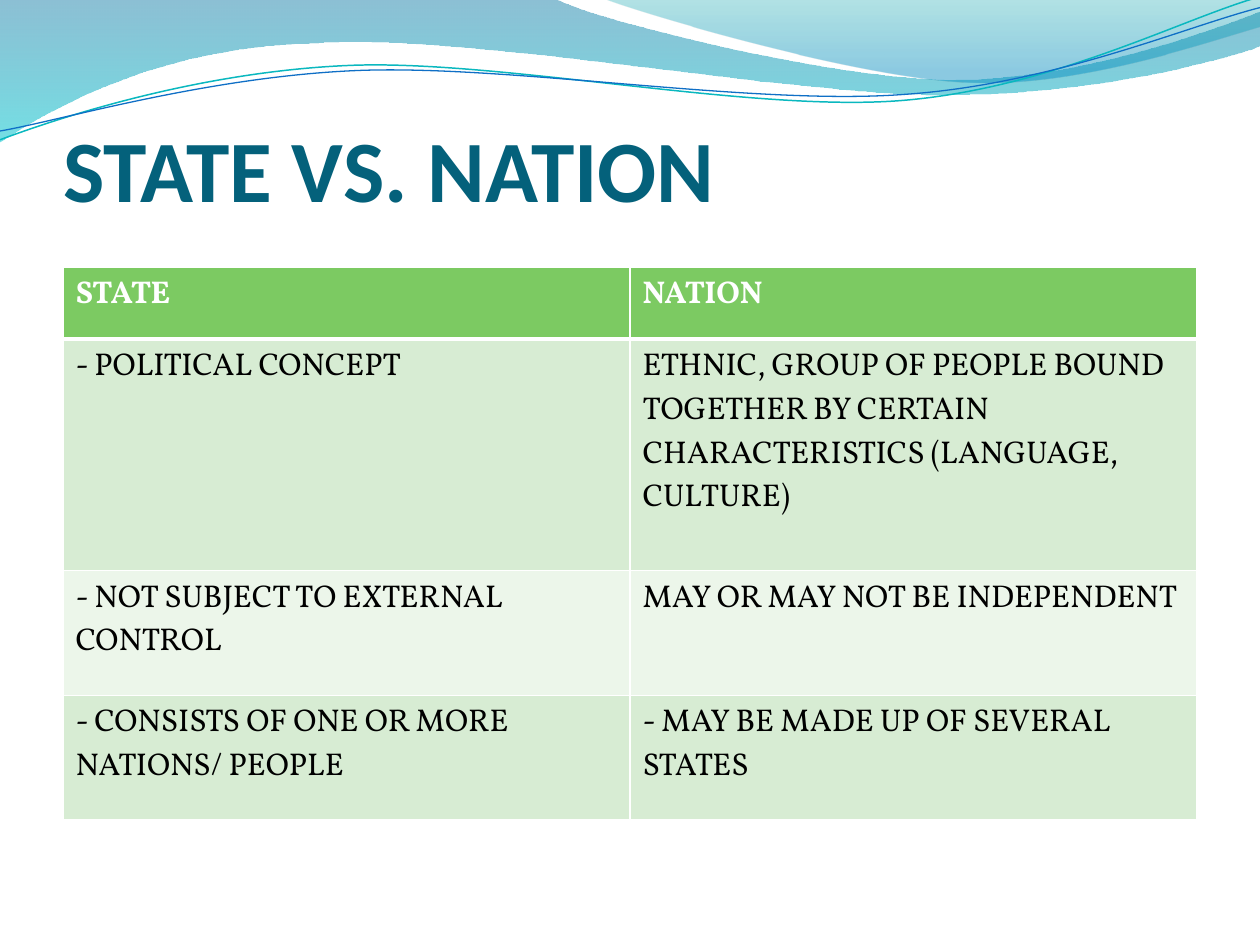
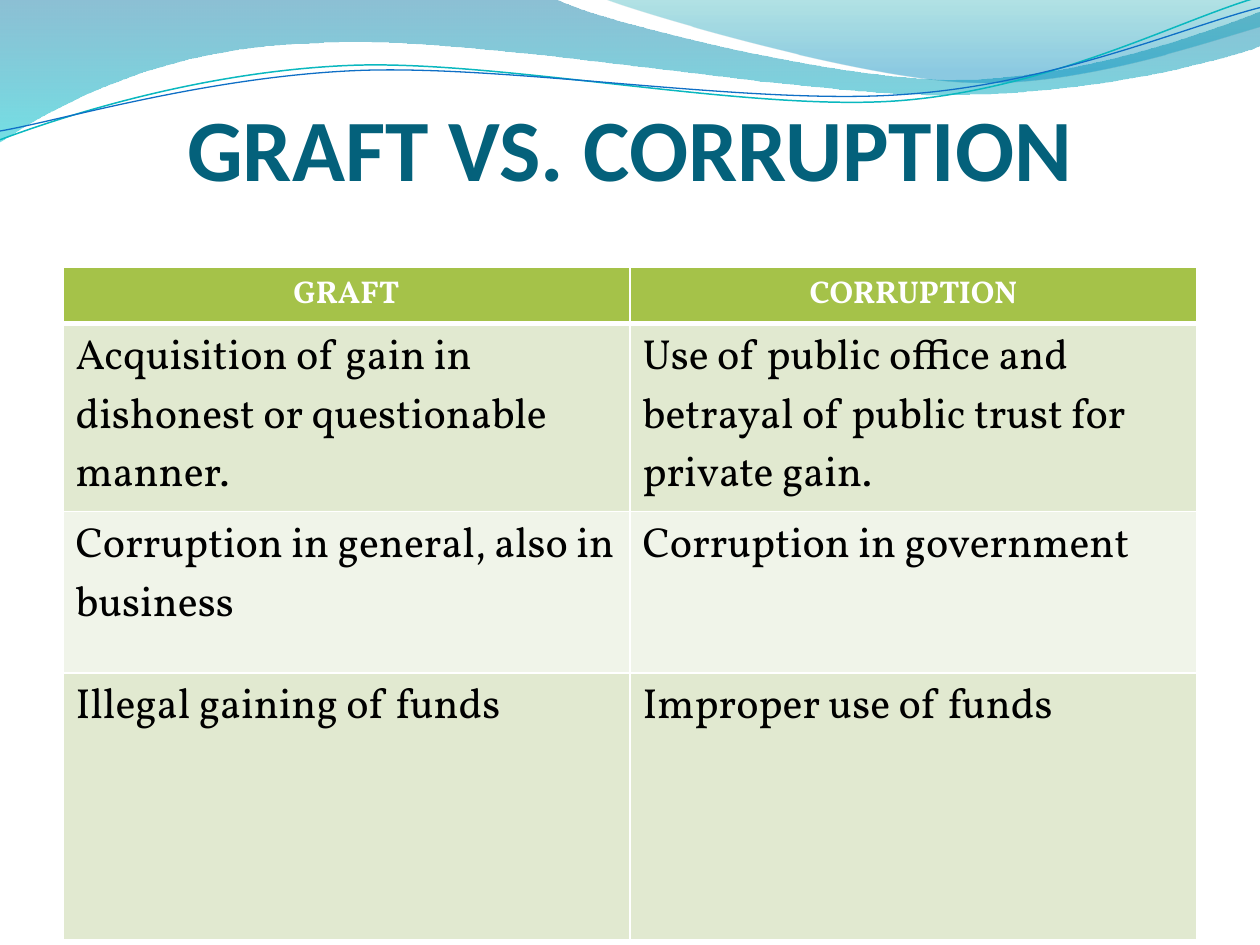
"""Builds two comparison slides with a shared wave band, a title and a table each."""
from math import cos, radians, sin
from lxml.etree import SubElement as Sub
from pptx import Presentation
from pptx.dml.color import RGBColor
from pptx.enum.text import MSO_ANCHOR as Anchor, PP_ALIGN as Align
from pptx.oxml.ns import qn
from pptx.util import Pt

PX = 9144
TURN = 357.3
WHITE, BLACK, TEAL = "FFFFFF", "000000", "04617B"
HEAD, BODY = "Calibri", "Vollkorn"

BANDS = [
    ((-1, -1, 1002, 114),
     [[(0, 0)], [(440, -1)],
      [(476, 17), (664, 63), (758, 63)], [(853, 63), (958, 26), (1000, 9)],
      [(1001, 36)],
      [(983, 44), (870, 76), (746, 75)], [(622, 75), (382, 28), (257, 34)],
      [(129, 36), (46, 83), (-1, 113)], [(0, 0)]],
     [(0, "0074A1", 45), (1, "00C6CF", 55)]),
    ((479, -1, 521, 70),
     [[(479, -1)],
      [(509, 11), (682, 62), (769, 65)], [(856, 69), (961, 32), (1000, 21)],
      [(1000, 0)], [(479, -1)]],
     [(0, "00A1A9", 30), (0.8, "008BBF", 45)]),
]
LINES = [
    ((-2, 22, 1002, 71),
     [[(0, 111)], [(48, 93), (158, 57), (277, 52)],
      [(395, 47), (593, 89), (713, 80)], [(833, 71), (938, 15), (998, -2)]],
     "0AB8BF", 0.85),
    ((-2, 30, 1003, 58),
     [[(0, 104)], [(47, 96), (164, 61), (283, 56)],
      [(403, 51), (597, 84), (717, 75)], [(836, 67), (941, 21), (1000, 6)]],
     "0F6FC6", 0.75),
]


def emu(px):
    return round(px * PX)


def rgb(code):
    return RGBColor.from_string(code)


def local(point, box, turn):
    left, top, wide, high = box
    dx, dy = point[0] - left - wide / 2, point[1] - top - high / 2
    c, s = cos(radians(-turn)), sin(radians(-turn))
    return emu(dx * c - dy * s + wide / 2), emu(dx * s + dy * c + high / 2)


class Deck:
    def __init__(self):
        self.prs = Presentation()
        self.prs.slide_width, self.prs.slide_height = emu(1000), emu(750)
        self.base = self.prs.slide_layouts[5]
        self.slide = None

    def start(self):
        self.slide = self.prs.slides.add_slide(self.base)

    def waves(self):
        for hold in list(self.base.placeholders)[1:]:
            hold.element.getparent().remove(hold.element)
        shapes = [self.band(*band) for band in BANDS]
        shapes += [self.line(*line) for line in LINES]
        for shape in shapes:
            self.base.shapes.element.append(shape.element)

    def wave(self, box, parts, turn=0):
        pen = self.slide.shapes.build_freeform()
        pen.add_line_segments([(PX, PX)], close=turn == 0)
        shape = pen.convert_to_shape()
        shape.shadow.inherit = False
        shape.left, shape.top, shape.width, shape.height = map(emu, box)
        shape.rotation = turn
        track = next(shape.element.iter(qn("a:path")))
        for old in list(track):
            track.remove(old)
        track.set("w", str(shape.width))
        track.set("h", str(shape.height))
        for n, part in enumerate(parts):
            kind = "moveTo" if n == 0 else "lnTo" if len(part) == 1 else "cubicBezTo"
            step = Sub(track, qn(f"a:{kind}"))
            for point in part:
                x, y = local(point, box, turn)
                Sub(step, qn("a:pt"), x=str(x), y=str(y))
        if turn == 0:
            Sub(track, qn("a:close"))
        return shape

    def band(self, box, parts, stops):
        shape = self.wave(box, parts)
        shape.line.fill.background()
        fill = shape.fill
        fill.gradient()
        fill.gradient_angle = 270
        for stop, (pos, color, _) in zip(fill.gradient_stops, stops):
            stop.position = pos
            stop.color.rgb = rgb(color)
        tints = shape.element.spPr.iter(qn("a:srgbClr"))
        for tint, (_, _, alpha) in zip(tints, stops):
            Sub(tint, qn("a:alpha"), val=str(alpha * 1000))
        return shape

    def line(self, box, parts, color, width):
        shape = self.wave(box, parts, TURN)
        shape.fill.background()
        shape.line.color.rgb = rgb(color)
        shape.line.width = Pt(width)
        return shape

    def style(self, para, font, size, color, bold, align):
        para.alignment = align
        para.font.name, para.font.size, para.font.bold = font, Pt(size), bold
        para.font.color.rgb = rgb(color)

    def title(self, text, top, align):
        box = self.slide.shapes.title
        box.left, box.top, box.width, box.height = map(emu, (50, top, 900, 125))
        frame = box.text_frame
        frame.text = text
        frame.vertical_anchor = Anchor.BOTTOM
        frame.margin_left = frame.margin_right = frame.margin_bottom = 0
        frame.margin_top = emu(5)
        self.style(frame.paragraphs[0], HEAD, 50, TEAL, True, align)

    def edges(self, cell, row):
        props = cell._tc.get_or_add_tcPr()
        wide = {"T": row == 1, "B": row == 0}
        for side in "LRTB":
            width = Pt(3 if wide.get(side) else 1)
            edge = Sub(props, qn(f"a:ln{side}"), w=str(width))
            Sub(Sub(edge, qn("a:solidFill")), qn("a:srgbClr"), val=WHITE)

    def table(self, rows, highs, fills, size, align):
        frame = self.slide.shapes.add_table(
            len(rows), 2, emu(50), emu(212), emu(900), emu(sum(highs)))
        grid = frame.table
        for r, (texts, high) in enumerate(zip(rows, highs)):
            grid.rows[r].height = emu(high)
            top = r == 0
            for c, text in enumerate(texts):
                cell = grid.cell(r, c)
                cell.text = text
                self.edges(cell, r)
                cell.fill.solid()
                cell.fill.fore_color.rgb = rgb(fills[0 if top else 2 - r % 2])
                self.style(cell.text_frame.paragraphs[0], BODY, 18 if top else size,
                           WHITE if top else BLACK, top, align if top else Align.LEFT)


def main():
    deck = Deck()
    deck.start()
    deck.waves()
    deck.title("STATE VS. NATION", 50, Align.LEFT)
    deck.table([
        ("STATE", "NATION"),
        ("- POLITICAL CONCEPT",
         "ETHNIC, GROUP OF PEOPLE BOUND TOGETHER BY CERTAIN "
         "CHARACTERISTICS (LANGUAGE, CULTURE)"),
        ("- NOT SUBJECT TO EXTERNAL CONTROL", "MAY OR MAY NOT BE INDEPENDENT"),
        ("- CONSISTS OF ONE OR MORE NATIONS/ PEOPLE",
         "- MAY BE MADE UP OF SEVERAL STATES"),
    ], (57, 184, 99, 99), ("7CCA62", "D7ECD3", "ECF6EA"), 18, Align.LEFT)

    deck.start()
    deck.title("GRAFT VS. CORRUPTION", 33, Align.CENTER)
    deck.table([
        ("GRAFT", "CORRUPTION"),
        ("Acquisition of gain in dishonest or questionable manner.",
         "Use of public office and betrayal of public trust for private gain."),
        ("Corruption in general, also in business", "Corruption in government"),
        ("Illegal gaining of funds", "Improper use of funds"),
    ], (41, 131, 128, 212), ("A5C249", "E1E9D0", "F0F4E9"), 24, Align.CENTER)
    deck.prs.save("out.pptx")


if __name__ == "__main__":
    main()
